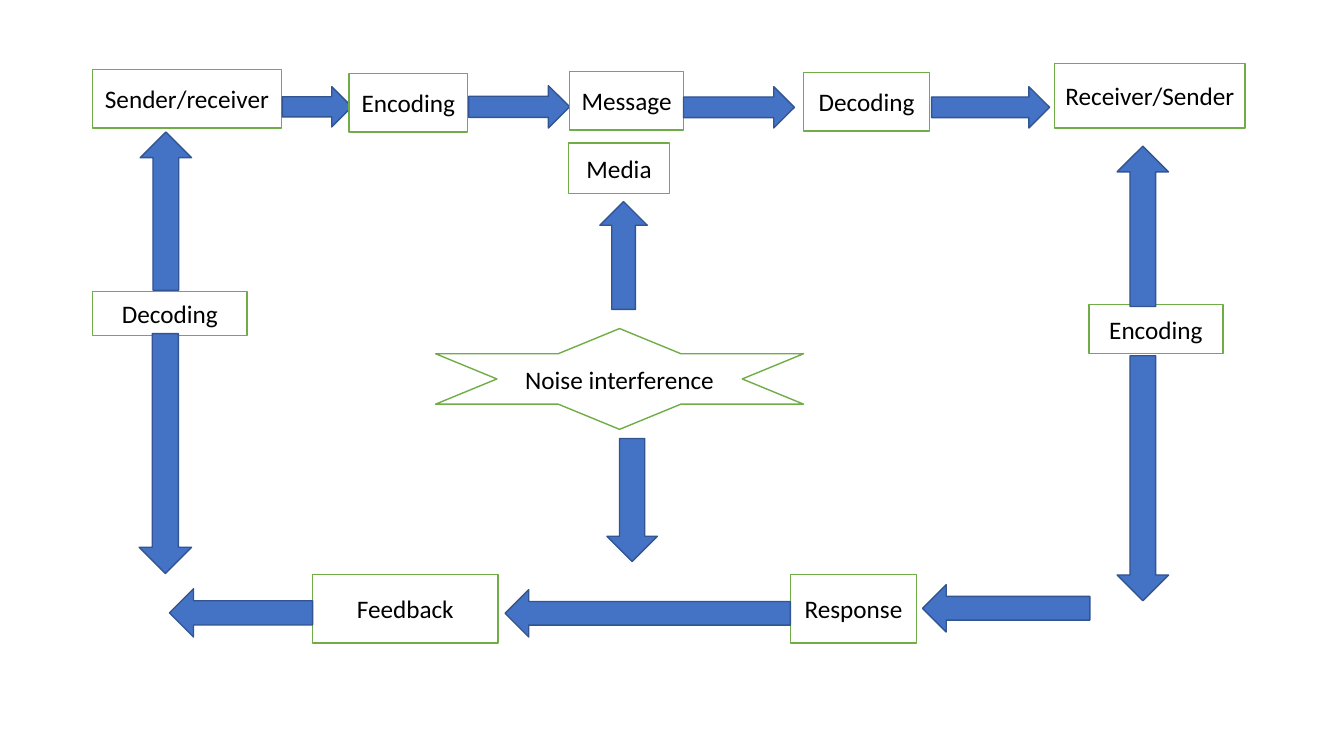
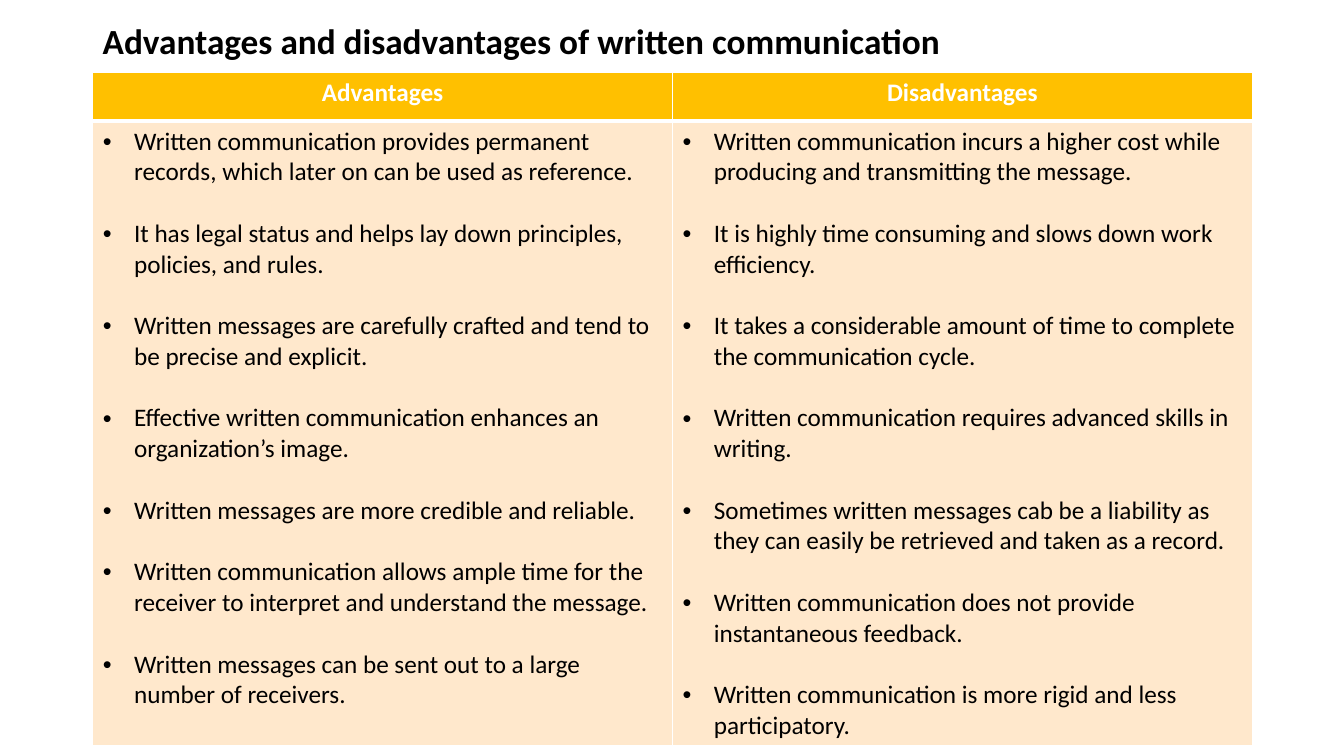
from typing import NamedTuple

from lxml import etree
from pptx import Presentation
from pptx.dml.color import RGBColor
from pptx.enum.shapes import MSO_SHAPE
from pptx.enum.text import MSO_ANCHOR, PP_ALIGN
from pptx.oxml.ns import qn
from pptx.util import Emu, Pt

BOX, STAR = MSO_SHAPE.RECTANGLE, MSO_SHAPE.STAR_6_POINT
RIGHT, LEFT = MSO_SHAPE.RIGHT_ARROW, MSO_SHAPE.LEFT_ARROW
UP, DOWN = MSO_SHAPE.UP_ARROW, MSO_SHAPE.DOWN_ARROW
CENTER, ALIGN_LEFT = PP_ALIGN.CENTER, PP_ALIGN.LEFT
MIDDLE = MSO_ANCHOR.MIDDLE

# Shared style
FONT, BODY_SIZE, TITLE_SIZE = "Calibri", 18, 25.2
BLACK, WHITE = "000000", "FFFFFF"
GREEN, BLUE, DARK_BLUE = "70AD47", "4472C4", "325491"
GOLD, CREAM = "FFC000", "FFE8CC"
EMU_PER_PX = 9144  # 100 px to the inch
BULLET_INDENT = 31
BULLET_GAP = 22  # one empty line, in points


class Step(NamedTuple):
    kind: MSO_SHAPE
    x: int
    y: int
    w: int
    h: int
    label: str = ""


class Column(NamedTuple):
    heading: str
    points: list[str]


# Communication cycle, from back to front
CYCLE = [
    # Top row: message travels to the receiver
    Step(BOX, 92, 69, 187, 58, "Sender/receiver"),
    Step(RIGHT, 280, 86, 69, 40),
    Step(BOX, 346, 73, 118, 58, "Encoding"),
    Step(RIGHT, 465, 85, 100, 42),
    Step(BOX, 565, 71, 113, 58, "Message"),
    Step(RIGHT, 678, 86, 110, 41),
    Step(BOX, 797, 72, 125, 58, "Decoding"),
    Step(RIGHT, 924, 86, 117, 41),
    Step(BOX, 1046, 63, 189, 64, "Receiver/Sender"),
    # Right side and bottom row: the reply travels back
    Step(BOX, 1080, 302, 133, 49, "Encoding"),
    Step(DOWN, 1108, 353, 51, 243),
    Step(BOX, 784, 570, 125, 68, "Response"),
    Step(LEFT, 915, 580, 166, 47),
    Step(LEFT, 501, 585, 283, 47),
    Step(BOX, 310, 570, 184, 68, "Feedback"),
    Step(LEFT, 168, 584, 142, 48),
    Step(BOX, 92, 289, 153, 44, "Decoding"),
    Step(DOWN, 138, 331, 52, 238),
    # Centre: noise acts on both directions
    Step(BOX, 564, 142, 100, 50, "Media"),
    Step(STAR, 432, 326, 365, 100, "Noise interference"),
    Step(DOWN, 602, 435, 50, 122),
    Step(UP, 1108, 145, 51, 159),
    Step(UP, 139, 131, 51, 157),
    Step(UP, 595, 200, 47, 107),
]

TITLE = "Advantages and disadvantages of written communication"
COLUMNS = [
    Column("Advantages", [
        "Written communication provides permanent records, which later on can be used as reference.",
        "It has legal status and helps lay down principles, policies, and rules.",
        "Written messages are carefully crafted and tend to be precise and explicit.",
        "Effective written communication enhances an organization’s image.",
        "Written messages are more credible and reliable.",
        "Written communication allows ample time for the receiver to interpret and understand the message.",
        "Written messages can be sent out to a large number of receivers.",
    ]),
    Column("Disadvantages", [
        "Written communication incurs a higher cost while producing and transmitting the message.",
        "It is highly time consuming and slows down work efficiency.",
        "It takes a considerable amount of time to complete the communication cycle.",
        "Written communication requires advanced skills in writing.",
        "Sometimes written messages cab be a liability as they can easily be retrieved and taken as a record.",
        "Written communication does not provide instantaneous feedback.",
        "Written communication is more rigid and less participatory.",
    ]),
]


def px(length: int) -> Emu:
    return Emu(length * EMU_PER_PX)


def rgb(value: str) -> RGBColor:
    return RGBColor.from_string(value)


def write(paragraph, text: str, *, size: float = BODY_SIZE, color: str = BLACK,
          bold: bool = False, align: PP_ALIGN = ALIGN_LEFT) -> None:
    paragraph.alignment = align
    run = paragraph.add_run()
    run.text = text
    run.font.name, run.font.size, run.font.bold = FONT, Pt(size), bold
    run.font.color.rgb = rgb(color)


def paint(target, color: str) -> None:
    target.fill.solid()
    target.fill.fore_color.rgb = rgb(color)


def draw_step(slide, step: Step) -> None:
    shape = slide.shapes.add_shape(step.kind, *map(px, step[1:5]))
    shape.shadow.inherit = False
    fill, line = (WHITE, GREEN) if step.label else (BLUE, DARK_BLUE)
    paint(shape, fill)
    shape.line.color.rgb = rgb(line)
    shape.line.width = Pt(1)
    if step.label:
        frame = shape.text_frame
        frame.word_wrap = True
        frame.vertical_anchor = MIDDLE
        write(frame.paragraphs[0], step.label, align=CENTER)


def draw_title(slide, text: str) -> None:
    frame = slide.shapes.add_textbox(px(92), px(23), px(1150), px(39)).text_frame
    frame.word_wrap = True
    frame.vertical_anchor = MIDDLE
    frame.paragraphs[0].line_spacing = 0.9
    write(frame.paragraphs[0], text, size=TITLE_SIZE, bold=True)


def add_bullet(paragraph) -> None:
    properties = paragraph._p.get_or_add_pPr()
    properties.set("marL", str(px(BULLET_INDENT)))
    properties.set("indent", str(px(-BULLET_INDENT)))
    etree.SubElement(properties, qn("a:buFont"), typeface="Arial")
    etree.SubElement(properties, qn("a:buChar"), char="•")


def style_cell(cell, color: str, top: int, bottom: int) -> None:
    """Borders come before the fill in the cell properties."""
    properties = cell._tc.get_or_add_tcPr()
    for side, width in (("L", 1), ("R", 1), ("T", top), ("B", bottom)):
        border = etree.SubElement(properties, qn(f"a:ln{side}"), w=str(Pt(width)))
        solid = etree.SubElement(border, qn("a:solidFill"))
        etree.SubElement(solid, qn("a:srgbClr"), val=WHITE)
    paint(cell, color)


def draw_comparison(slide, columns: list[Column]) -> None:
    table = slide.shapes.add_table(2, len(columns), px(92), px(72), px(1150), px(668)).table
    table.horz_banding = False
    table.rows[0].height, table.rows[1].height = px(48), px(620)
    for index, column in enumerate(columns):
        heading, body = table.cell(0, index), table.cell(1, index)
        style_cell(heading, GOLD, 1, 3)
        style_cell(body, CREAM, 3, 1)
        write(heading.text_frame.paragraphs[0], column.heading,
              color=WHITE, bold=True, align=CENTER)
        frame = body.text_frame
        for number, point in enumerate(column.points):
            paragraph = frame.add_paragraph() if number else frame.paragraphs[0]
            add_bullet(paragraph)
            if number:
                paragraph.space_before = Pt(BULLET_GAP)
            write(paragraph, point)


def main() -> None:
    deck = Presentation()
    deck.slide_width, deck.slide_height = px(1333), px(750)
    blank = deck.slide_layouts[6]

    cycle_slide = deck.slides.add_slide(blank)
    for step in CYCLE:
        draw_step(cycle_slide, step)

    comparison_slide = deck.slides.add_slide(blank)
    draw_title(comparison_slide, TITLE)
    draw_comparison(comparison_slide, COLUMNS)

    deck.save("out.pptx")


if __name__ == "__main__":
    main()
